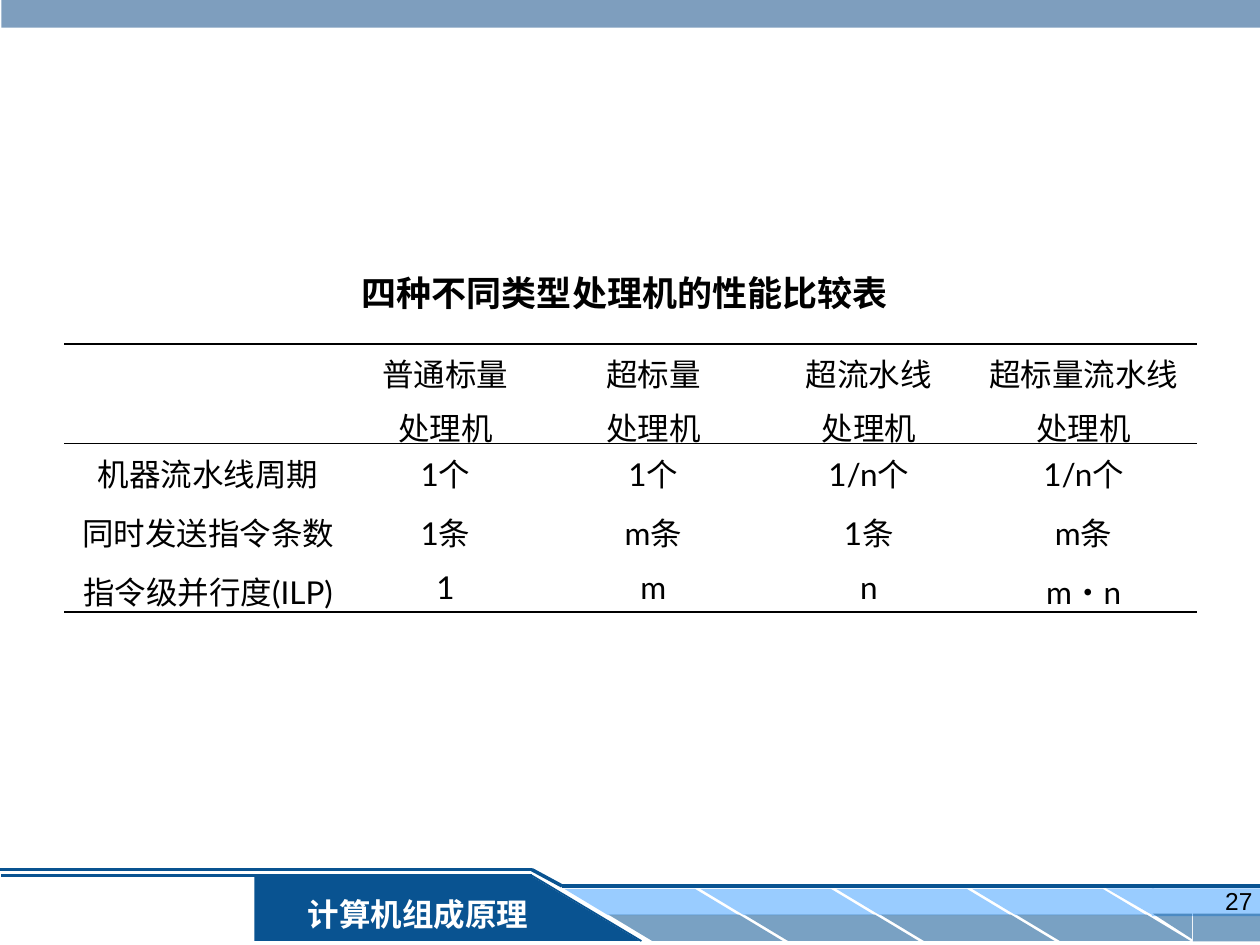
from lxml.etree import SubElement
from pptx import Presentation
from pptx.dml.color import RGBColor
from pptx.enum.shapes import MSO_CONNECTOR, MSO_SHAPE
from pptx.enum.text import MSO_ANCHOR, PP_ALIGN
from pptx.oxml import parse_xml
from pptx.oxml.ns import nsdecls, qn
from pptx.util import Cm, Pt

COLORS = {"navy": "095391", "sky": "99CCFF", "steel": "336699",
          "black": "000000", "white": "FFFFFF"}
CJK = "Noto Sans CJK SC"


def put_text(tf, text, font="Lato", size=18, color="black", bold=False,
             align=PP_ALIGN.CENTER, gap=0):
    """Newlines part paragraphs; runs between bars use the CJK font."""
    tf.word_wrap = True
    for n, line in enumerate(text.split("\n")):
        p = tf.add_paragraph() if n else tf.paragraphs[0]
        p.alignment = align
        p.space_before = Pt(gap if n else 0)
        for i, part in enumerate(line.split("|")):
            r = p.add_run()
            r.text = part
            r.font.name = CJK if i % 2 else font
            r.font.size = Pt(size)
            r.font.bold = bold
            r.font.color.rgb = RGBColor.from_string(COLORS[color])
            SubElement(r.font._element, qn("a:ea")).set("typeface", CJK)


def add_block(kind, left, top, width, height, color, alpha=100, flip=""):
    s = slide.shapes.add_shape(kind, Cm(left), Cm(top), Cm(width), Cm(height))
    s.shadow.inherit = False
    s.line.fill.background()
    s.fill.solid()
    s.fill.fore_color.rgb = RGBColor.from_string(COLORS[color])
    if alpha < 100:
        rgb = s._element.spPr.find(".//" + qn("a:srgbClr"))
        SubElement(rgb, qn("a:alpha")).set("val", str(alpha * 1000))
    for axis in flip:
        s._element.spPr.xfrm.set("flip" + axis, "1")
    return s


prs = Presentation()
prs.slide_width, prs.slide_height = Cm(25.4), Cm(19.05)
slide = prs.slides.add_slide(prs.slide_layouts[5])

# Top bar and footer
add_block(MSO_SHAPE.RECTANGLE, 0.03, 0, 25.37, 0.56, "steel", alpha=63)
add_block(MSO_SHAPE.RECTANGLE, 5.13, 17.65, 5.59, 1.32, "navy")
for i in range(4):
    for left, top, color, alpha in [(11.38, 17.92, "sky", 100),
                                    (12.27, 18.44, "navy", 54)]:
        s = add_block(MSO_SHAPE.PARALLELOGRAM, left + 2.74 * i, top, 3.51, 0.53,
                      color, alpha, flip="H")
        s.adjustments[0] = 1.66
add_block(MSO_SHAPE.RECTANGLE, 23.22, 17.91, 2.18, 0.56, "sky")
add_block(MSO_SHAPE.RIGHT_TRIANGLE, 22.3, 17.91, 0.97, 0.56, "sky", flip="HV")
add_block(MSO_SHAPE.RECTANGLE, 24.05, 18.42, 1.35, 0.56, "navy", alpha=54)
add_block(MSO_SHAPE.RIGHT_TRIANGLE, 23.24, 18.42, 0.79, 0.51, "navy", alpha=54, flip="HV")
add_block(MSO_SHAPE.RIGHT_TRIANGLE, 10.69, 17.65, 2.21, 1.32, "navy")

for x1, y1, x2, y2, weight in [
    (12.93, 18.97, 10.72, 17.65, 1),
    (10.72, 17.65, 0.03, 17.65, 1.5),
    (0, 17.53, 10.72, 17.53, 2),
    (10.72, 17.53, 11.33, 17.86, 2),
    (11.33, 17.86, 25.4, 17.86, 2),
]:
    s = slide.shapes.add_connector(MSO_CONNECTOR.STRAIGHT, Cm(x1), Cm(y1), Cm(x2), Cm(y2))
    s.line.color.rgb = RGBColor.from_string(COLORS["navy"])
    s.line.width = Pt(weight)
    SubElement(s._element.spPr, qn("a:effectLst"))

course = add_block(MSO_SHAPE.RECTANGLE, 5.82, 17.91, 5.21, 1.02, "navy")
put_text(course.text_frame, "计算机组成原理", font="Times New Roman", color="white", bold=True)

number = slide.shapes.add_textbox(Cm(19.58), Cm(17.73), Cm(5.92), Cm(1.32))
put_text(number.text_frame, "27", font="Arial", size=14, align=PP_ALIGN.RIGHT)

# Title
title = slide.shapes.title
title.left, title.top, title.width, title.height = Cm(6.5), Cm(5.33), Cm(12.19), Cm(1.12)
title.text_frame.vertical_anchor = MSO_ANCHOR.MIDDLE
put_text(title.text_frame, "四种不同类型处理机的性能比较表",
         font="Times New Roman", size=20, bold=True)

# Comparison table
ROWS = [
    ["", "普通标量\n处理机", "超标量\n处理机", "超流水线\n处理机", "超标量流水线\n处理机"],
    ["机器流水线周期", "1个", "1个", "1/n个", "1/n个"],
    ["同时发送指令条数", "1条", "m条", "1条", "m条"],
    ["指令级并行度(ILP)", "1", "m", "n", "m|·|n"],
]
COL_WIDTHS = [5.79, 3.78, 4.6, 4.09, 4.57]
ROW_HEIGHTS = [2.01, 1.19, 1.19, 1.02]
RULES = [1.08, 0.45, 0, 0, 1.08]  # above each row, then below the last

table = slide.shapes.add_table(len(ROWS), len(COL_WIDTHS), Cm(1.3), Cm(6.93),
                               Cm(sum(COL_WIDTHS)), Cm(sum(ROW_HEIGHTS))).table
table.first_row = table.horz_banding = False
for column, width in zip(table.columns, COL_WIDTHS):
    column.width = Cm(width)
for n, (row, height, texts) in enumerate(zip(table.rows, ROW_HEIGHTS, ROWS)):
    row.height = Cm(height)
    for cell, text in zip(row.cells, texts):
        cell.fill.background()
        cell.margin_left = cell.margin_right = Cm(0.25)
        cell.margin_top = cell.margin_bottom = Cm(0.13)
        if text:
            put_text(cell.text_frame, text, gap=4.5)
        borders = [("L", 0), ("R", 0), ("T", RULES[n]), ("B", RULES[n + 1])]
        for i, (side, weight) in enumerate(borders):
            fill = (f'<a:solidFill><a:srgbClr val="{COLORS["black"]}"/></a:solidFill>'
                    if weight else "<a:noFill/>")
            cell._tc.get_or_add_tcPr().insert(i, parse_xml(
                f'<a:ln{side} {nsdecls("a")} w="{Pt(weight)}">{fill}</a:ln{side}>'))

prs.save("out.pptx")
